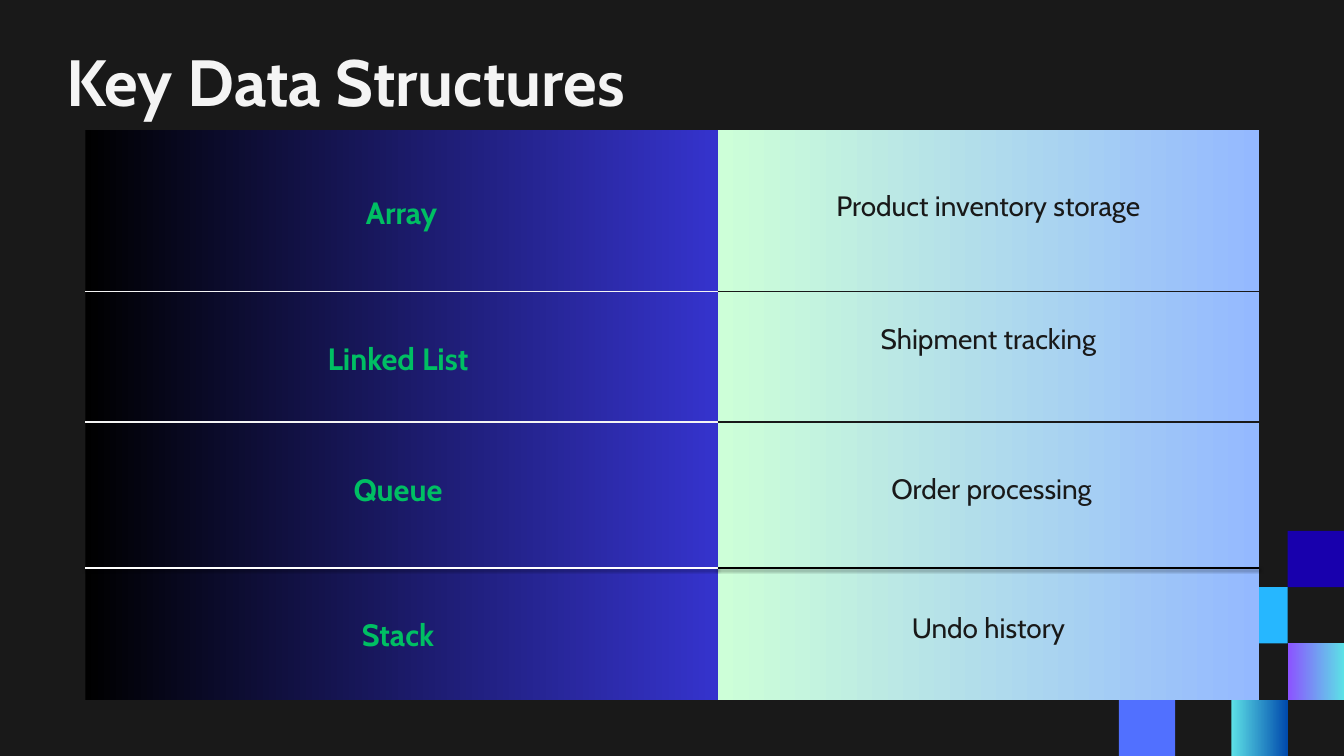
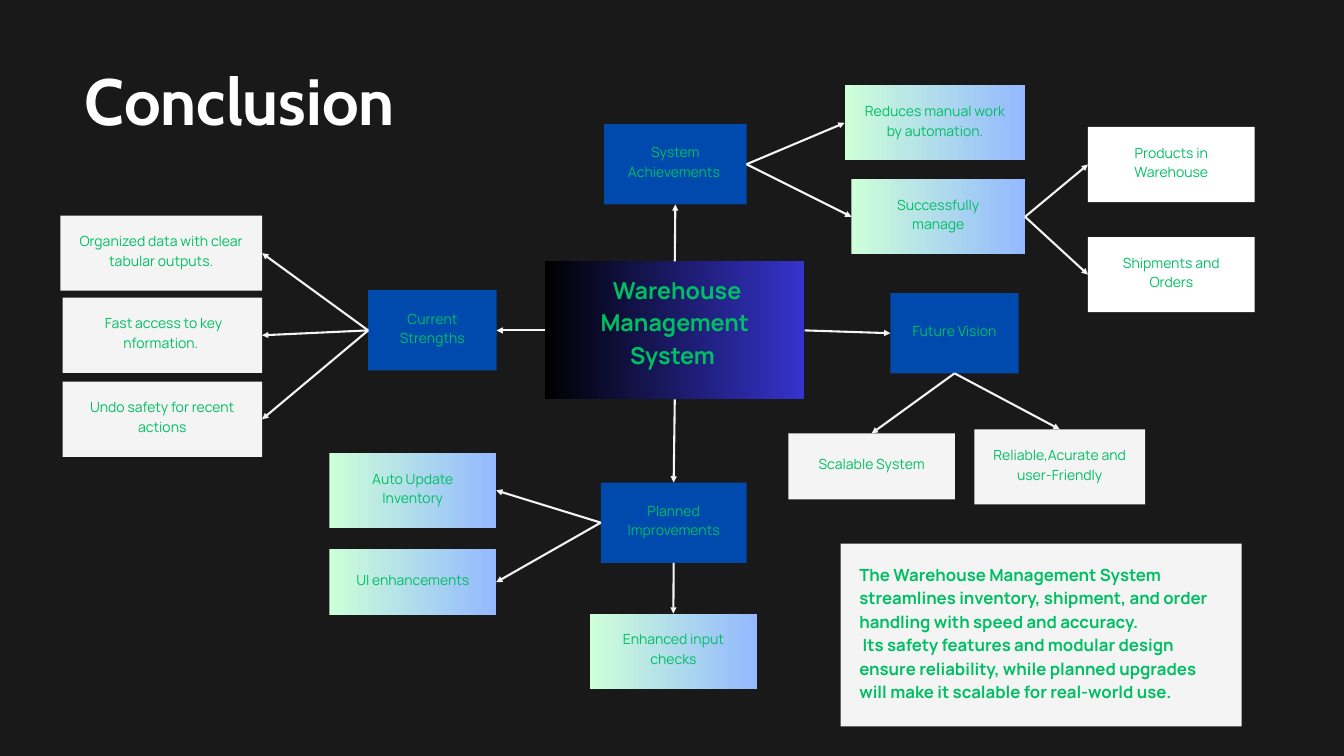
from pptx import Presentation
from pptx.dml.color import RGBColor
from pptx.enum.shapes import MSO_CONNECTOR as Connector, MSO_SHAPE as Shape
from pptx.enum.text import MSO_ANCHOR as Anchor, PP_ALIGN as Align
from pptx.oxml import parse_xml
from pptx.oxml.ns import nsdecls
from pptx.util import Pt

WIDTH, HEIGHT = 1440, 810
DARK, LIGHT, WHITE, BLACK = "191919", "F4F4F4", "FFFFFF", "000000"
GREEN, BLUE = "00BF63", "004AAD"
NIGHT = (BLACK, "3533CD")
MINT = ("CDFFD8", "94B9FF")
HEADING_FONT, BODY_FONT = "Cabin", "Manrope"
TOP, LEFT, BOTTOM, RIGHT = range(4)

SQUARE = 60.3
SQUARES_BEHIND = [(1, 4, "1800AD"), (2, 3, "26B7FF"), (3, 2, MINT), (4, 1, "5170FF")]
SQUARES_IN_FRONT = [(2, 1, ("5DE0E6", BLUE)), (1, 2, ("8C52FF", "5CE1E6"))]

TABLE_LEFT, TABLE_TOP = 91.4, 139
COLUMN_WIDTHS = [677.5, 580.3]
ROW_HEIGHTS = [173.5, 139.7, 139.7, 157.7]
COLUMN_STYLES = [
    dict(fill=NIGHT, border=LIGHT, size=33, color=GREEN, bold=True, spacing=46.2),
    dict(fill=MINT, border=DARK, size=30, color=DARK, bold=False, spacing=42),
]
STRUCTURES = [
    ("Array", "Product inventory storage"),
    ("Linked List ", "Shipment tracking"),
    ("Queue ", " Order processing"),
    ("Stack ", "Undo history"),
]
CELL_INSET = 15
EXTRA_INSETS = {(0, 1): (0, 15), (1, 1): (0, 42), (3, 0): (15, 0)}
RULE_TOP = 609

BOXES = {
    "hub": (" Warehouse Management System ", 584, 280, 278, 148, NIGHT),
    "strengths": ("Current Strengths", 394.5, 311, 137.5, 86, BLUE),
    "achievements": ("System Achievements ", 647.3, 133, 152.6, 86, BLUE),
    "improvements": ("Planned Improvements", 643.7, 517, 156.2, 86, BLUE),
    "vision": ("Future Vision", 954, 314, 137.5, 86, BLUE),
    "automation": ("Reduces manual work by automation.", 905, 91.4, 193.7, 80.5, MINT),
    "manage": ("Successfully manage", 912.3, 192, 186, 80.5, MINT),
    "products": ("Products in Warehouse", 1165.7, 136, 178.6, 80.5, WHITE),
    "shipments": ("Shipments and Orders", 1165.7, 254, 178.6, 80.5, WHITE),
    "update": ("Auto Update Inventory", 353, 485.2, 178.6, 80.5, MINT),
    "interface": ("UI enhancements", 353, 588.2, 178.6, 71.3, MINT),
    "organized": ("Organized data with clear tabular outputs.", 64.8, 231, 216, 80.5, LIGHT),
    "access": (" Fast access to key nformation. ", 67, 319, 213.8, 80.5, LIGHT),
    "undo": ("Undo safety for recent actions", 67, 409, 213.8, 80.5, LIGHT),
    "scalable": ("Scalable System", 844.6, 464.4, 178.6, 70.6, LIGHT),
    "reliable": ("Reliable,Acurate and user-Friendly", 1044, 460, 182.9, 80.5, LIGHT),
    "checks": ("Enhanced input checks", 632.2, 657.4, 178.6, 80.5, MINT),
    "summary": (
        "The Warehouse Management System streamlines inventory, shipment, and order "
        "handling with speed and accuracy.\n"
        " Its safety features and modular design ensure reliability, while planned "
        "upgrades will make it scalable for real-world use.",
        900.7, 582.5, 429.8, 195.8, LIGHT),
}
BOX_STYLE = dict(size=15, spacing=21)
SPECIAL_STYLES = {
    "hub": dict(size=25, spacing=35, bold=True),
    "summary": dict(size=18, spacing=25.2, bold=True, align=Align.LEFT),
}
BOX_INSET = 20
BOX_LIFT, HUB_LIFT = 7.6, 22
ARROWS = [
    ("hub", RIGHT, LEFT, ["vision"]),
    ("hub", LEFT, RIGHT, ["strengths"]),
    ("hub", TOP, BOTTOM, ["achievements"]),
    ("hub", BOTTOM, TOP, ["improvements"]),
    ("achievements", RIGHT, LEFT, ["automation", "manage"]),
    ("manage", RIGHT, LEFT, ["products", "shipments"]),
    ("strengths", LEFT, RIGHT, ["organized", "access", "undo"]),
    ("improvements", LEFT, RIGHT, ["update", "interface"]),
    ("improvements", BOTTOM, TOP, ["checks"]),
    ("vision", BOTTOM, TOP, ["scalable", "reliable"]),
]
RULE_SHADOW = (
    '<a:outerShdw blurRad="39370" dist="20320" dir="5400000" rotWithShape="0">'
    '<a:srgbClr val="000000"><a:alpha val="38000"/></a:srgbClr></a:outerShdw>'
)


def rgb(value):
    return RGBColor.from_string(value)


def points(*values):
    return [Pt(value) for value in values]


def paint(fill, color):
    if isinstance(color, str):
        fill.solid()
        fill.fore_color.rgb = rgb(color)
        return
    fill.gradient()
    fill.gradient_angle = 0
    for stop, position, value in zip(fill.gradient_stops, (0, 1), color):
        stop.position = position
        stop.color.rgb = rgb(value)


def write(frame, text, font, size, spacing, color=GREEN, bold=False, align=Align.CENTER):
    frame.text = text
    for paragraph in frame.paragraphs:
        paragraph.alignment = align
        paragraph.line_spacing = Pt(spacing)
        for run in paragraph.runs:
            run.font.name = font
            run.font.size = Pt(size)
            run.font.bold = bold
            run.font.color.rgb = rgb(color)


def set_margins(target, left, top, right, bottom):
    target.margin_left, target.margin_top = points(left, top)
    target.margin_right, target.margin_bottom = points(right, bottom)


def add_slide(presentation):
    slide = presentation.slides.add_slide(presentation.slide_layouts[6])
    paint(slide.background.fill, DARK)
    return slide


def add_title(slide, text, bounds, **style):
    frame = slide.shapes.add_textbox(*points(*bounds)).text_frame
    frame.word_wrap = True
    set_margins(frame, 0, 0, 0, 0)
    write(frame, text, HEADING_FONT, 70, bold=True, **style)


def add_rectangle(slide, bounds, color):
    shape = slide.shapes.add_shape(Shape.RECTANGLE, *points(*bounds))
    shape.shadow.inherit = False
    paint(shape.fill, color)
    shape.line.fill.background()
    return shape


def add_squares(slide, squares):
    for column, row, color in squares:
        bounds = (WIDTH - column * SQUARE, HEIGHT - row * SQUARE, SQUARE, SQUARE)
        add_rectangle(slide, bounds, color)


def add_line(slide, ends, color, width, effect=""):
    line = slide.shapes.add_connector(Connector.STRAIGHT, *points(*ends))
    line.line.color.rgb = rgb(color)
    line.line.width = Pt(width)
    line._element.spPr.append(
        parse_xml(f'<a:effectLst {nsdecls("a")}>{effect}</a:effectLst>'))
    return line


def set_borders(cell, color, sides):
    properties = cell._tc.get_or_add_tcPr()
    for index, side in enumerate("LRTB"):
        width = Pt(1.5) if side in sides else 0
        fill = (f'<a:solidFill><a:srgbClr val="{color}"/></a:solidFill>'
                if width else "<a:noFill/>")
        properties.insert(index, parse_xml(
            f'<a:ln{side} {nsdecls("a")} w="{width}">{fill}</a:ln{side}>'))


def add_structure_table(slide):
    table = slide.shapes.add_table(
        len(STRUCTURES), len(COLUMN_WIDTHS),
        *points(TABLE_LEFT, TABLE_TOP, sum(COLUMN_WIDTHS), sum(ROW_HEIGHTS))).table
    table.first_row = table.horz_banding = False
    for column, width in zip(table.columns, COLUMN_WIDTHS):
        column.width = Pt(width)
    for row, height in zip(table.rows, ROW_HEIGHTS):
        row.height = Pt(height)
    for row, texts in enumerate(STRUCTURES):
        sides = ("T" if row in (1, 2) else "") + ("B" if row in (0, 1) else "")
        for column, text in enumerate(texts):
            style = dict(COLUMN_STYLES[column])
            cell = table.cell(row, column)
            above, below = EXTRA_INSETS.get((row, column), (0, 0))
            set_margins(cell, CELL_INSET, CELL_INSET + above,
                        CELL_INSET, CELL_INSET + below)
            cell.vertical_anchor = Anchor.MIDDLE
            paint(cell.fill, style.pop("fill"))
            set_borders(cell, style.pop("border"), sides)
            write(cell.text_frame, text, HEADING_FONT, **style)


def build_structures(presentation):
    slide = add_slide(presentation)
    add_squares(slide, SQUARES_BEHIND)
    add_structure_table(slide)
    add_squares(slide, SQUARES_IN_FRONT)
    add_title(slide, "Key Data Structures", (71.3, 44.6, 1278, 83.5),
              color=LIGHT, spacing=84, align=Align.LEFT)
    left = TABLE_LEFT
    for width, color in zip(COLUMN_WIDTHS, (WHITE, BLACK)):
        add_line(slide, (left, RULE_TOP, left + width, RULE_TOP), color, 2, RULE_SHADOW)
        left += width


def build_conclusion(presentation):
    slide = add_slide(presentation)
    boxes = {}
    for name, (text, *bounds, color) in BOXES.items():
        shape = boxes[name] = add_rectangle(slide, bounds, color)
        frame = shape.text_frame
        frame.word_wrap = True
        frame.vertical_anchor = Anchor.MIDDLE
        lift = HUB_LIFT if name == "hub" else BOX_LIFT
        set_margins(frame, BOX_INSET, max(BOX_INSET - lift, 0),
                    BOX_INSET, max(BOX_INSET, lift))
        write(frame, text, BODY_FONT, **SPECIAL_STYLES.get(name, BOX_STYLE))
    for start, start_side, end_side, targets in ARROWS:
        for target in targets:
            arrow = add_line(slide, (0, 0, 0, 0), LIGHT, 2.25)
            arrow.begin_connect(boxes[start], start_side)
            arrow.end_connect(boxes[target], end_side)
            arrow.line._get_or_add_ln().append(
                parse_xml(f'<a:tailEnd {nsdecls("a")} type="triangle"/>'))
    add_title(slide, "Conclusion", (64.8, 50.4, 384.5, 95), color=WHITE, spacing=98)


def main():
    presentation = Presentation()
    presentation.slide_width, presentation.slide_height = points(WIDTH, HEIGHT)
    build_structures(presentation)
    build_conclusion(presentation)
    presentation.save("out.pptx")


if __name__ == "__main__":
    main()
